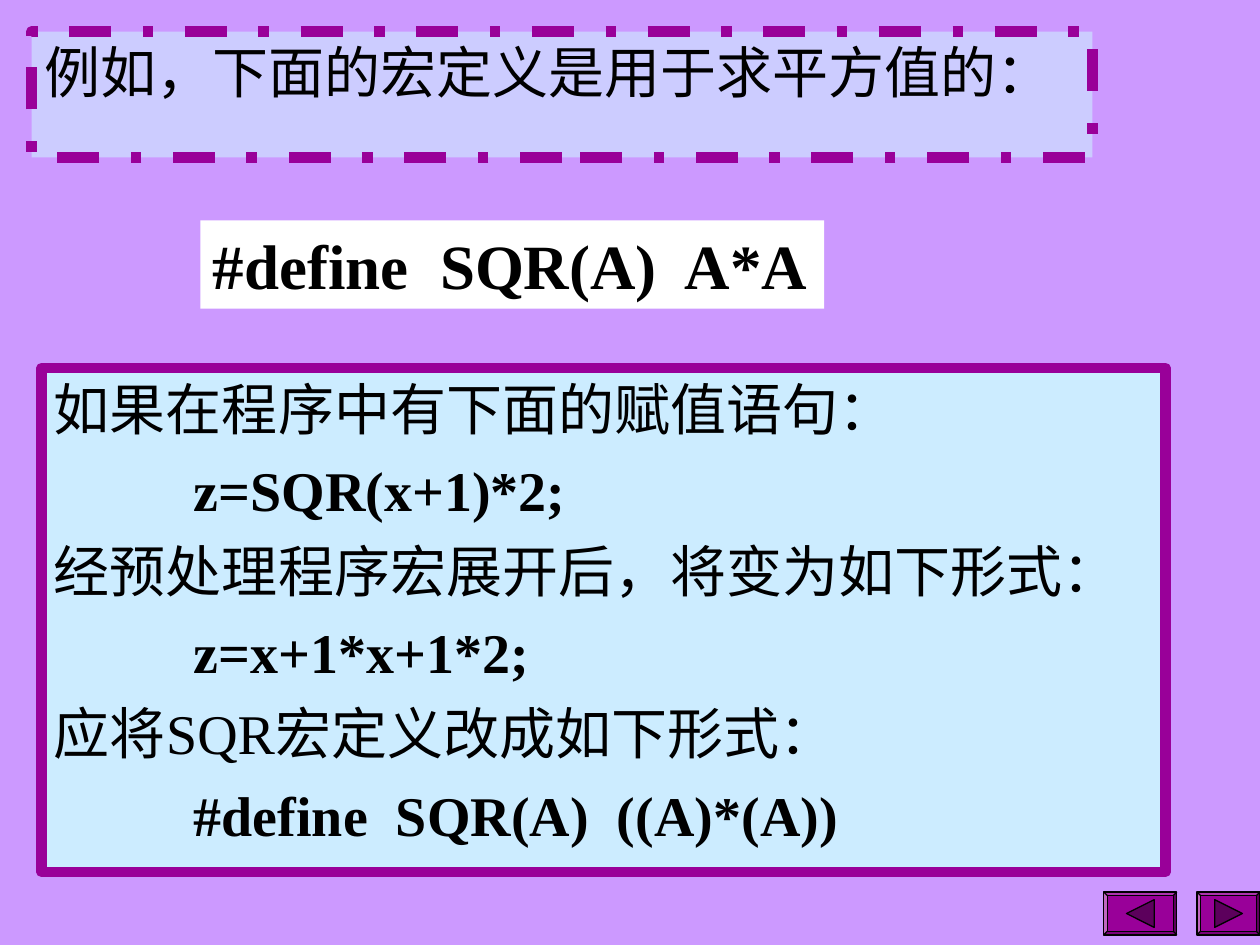
from dataclasses import dataclass

from pptx import Presentation
from pptx.dml.color import RGBColor
from pptx.enum.dml import MSO_LINE_DASH_STYLE as Dash
from pptx.enum.shapes import MSO_SHAPE as Preset
from pptx.enum.text import MSO_ANCHOR as Anchor, MSO_AUTO_SIZE as AutoSize, PP_ALIGN as Align
from pptx.util import Inches, Pt

FONT = "Times New Roman"
PURPLE = "990099"
BLACK = "000000"
CODE_INDENT = 1.11


@dataclass(frozen=True)
class Line:
    text: str
    code: bool = False
    size: int = 32
    indent: float = 0


@dataclass(frozen=True)
class Button:
    left: float
    width: float
    direction: int


EXPLANATION = [
    Line("如果在程序中有下面的赋值语句："),
    Line("z=SQR(x+1)*2;", code=True, indent=CODE_INDENT),
    Line("经预处理程序宏展开后，将变为如下形式："),
    Line("z=x+1*x+1*2;", code=True, indent=CODE_INDENT),
    Line("应将SQR宏定义改成如下形式："),
    Line("#define  SQR(A)  ((A)*(A))", code=True, indent=CODE_INDENT),
]
BUTTONS = [Button(9.5, 0.5, 1), Button(8.76, 0.58, -1)]


def color(value: str) -> RGBColor:
    return RGBColor.from_string(value)


def place(shape, left: float, top: float, width: float, height: float) -> None:
    shape.left, shape.top = Inches(left), Inches(top)
    shape.width, shape.height = Inches(width), Inches(height)


def paint(shape, fill: str, line: str | None = None, weight: float = 6) -> None:
    shape.shadow.inherit = False
    shape.fill.solid()
    shape.fill.fore_color.rgb = color(fill)
    if line is None:
        shape.line.fill.background()
    else:
        shape.line.color.rgb = color(line)
        shape.line.width = Pt(weight)


def write(shape, lines: list[Line], align: Align = Align.JUSTIFY, wrap: bool = True) -> None:
    frame = shape.text_frame
    frame.word_wrap = wrap
    frame.auto_size = AutoSize.NONE
    frame.vertical_anchor = Anchor.TOP
    for index, line in enumerate(lines):
        paragraph = frame.add_paragraph() if index else frame.paragraphs[0]
        paragraph.alignment = align
        paragraph.space_before = Pt(8 if index else 0)
        paragraph.line_spacing = 1.0
        paragraph._p.get_or_add_pPr().set("marL", str(Inches(line.indent)))
        run = paragraph.add_run()
        run.text = line.text
        run.font.name = FONT
        run.font.size = Pt(line.size)
        run.font.bold = line.code
        run.font.color.rgb = color(BLACK)


def add_button(slide, button: Button) -> None:
    top, height = 7.08, 0.34
    frame = slide.shapes.add_shape(
        Preset.BEVEL, Inches(button.left), Inches(top), Inches(button.width), Inches(height))
    frame.adjustments[0] = 0.08
    paint(frame, PURPLE, BLACK, 0.75)

    center, middle, reach = button.left + button.width / 2, top + height / 2, 0.11
    base = center - button.direction * reach
    builder = slide.shapes.build_freeform(
        Inches(base), Inches(middle - reach), scale=1.0)
    builder.add_line_segments([
        (Inches(center + button.direction * reach), Inches(middle)),
        (Inches(base), Inches(middle + reach)),
    ])
    paint(builder.convert_to_shape(), "5C005C", BLACK, 0.75)


def main() -> None:
    presentation = Presentation()
    presentation.slide_width, presentation.slide_height = Inches(10), Inches(7.5)
    slide = presentation.slides.add_slide(presentation.slide_layouts[5])
    slide.background.fill.solid()
    slide.background.fill.fore_color.rgb = color("CC99FF")

    title = slide.shapes.title
    place(title, 0.25, 0.25, 8.42, 1)
    title.fill.solid()
    title.fill.fore_color.rgb = color("CCCCFF")
    title.line.color.rgb = color(PURPLE)
    title.line.width = Pt(6)
    title.line.dash_style = Dash.DASH_DOT
    write(title, [Line("例如，下面的宏定义是用于求平方值的：")])

    for button in BUTTONS:
        add_button(slide, button)

    macro = slide.shapes.add_textbox(Inches(1.59), Inches(1.75), Inches(4.95), Inches(0.7))
    paint(macro, "FFFFFF")
    write(macro, [Line("#define  SQR(A)  A*A", code=True, size=36)], Align.LEFT, wrap=False)

    explanation = slide.shapes.add_shape(
        Preset.RECTANGLE, Inches(0.33), Inches(2.92), Inches(8.92), Inches(4))
    paint(explanation, "CCECFF", PURPLE)
    write(explanation, EXPLANATION)

    presentation.save("out.pptx")


if __name__ == "__main__":
    main()
